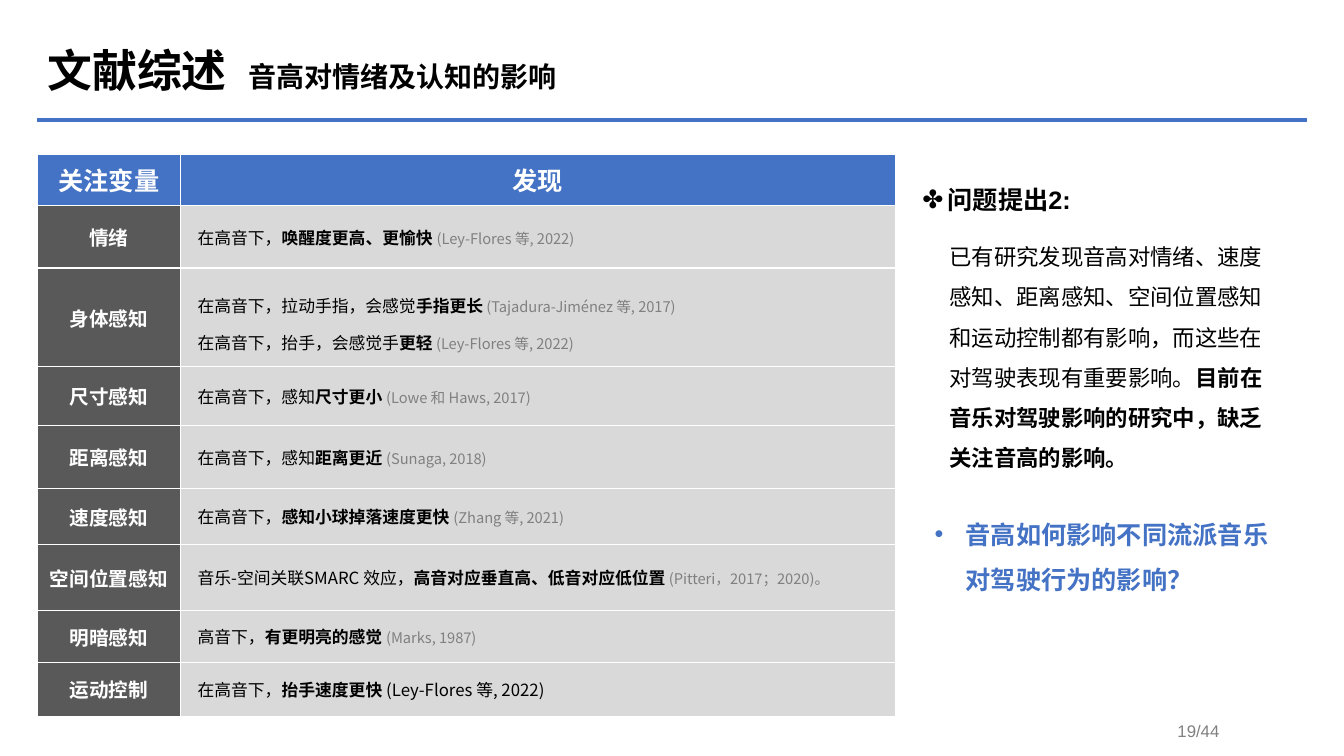
"""Build the literature review slide on pitch, emotion and cognition."""
from dataclasses import dataclass
from typing import Optional

from lxml import etree
from pptx import Presentation
from pptx import util as u
from pptx.dml.color import RGBColor
from pptx.enum import shapes, text
from pptx.oxml.ns import qn

PX = 9144
BLUE = RGBColor(0x44, 0x72, 0xC4)
BLACK = RGBColor(0, 0, 0)
WHITE = RGBColor(0xFF, 0xFF, 0xFF)
GREY = RGBColor(0x80, 0x80, 0x80)
DARK = RGBColor(0x59, 0x59, 0x59)
LIGHT = RGBColor(0xD9, 0xD9, 0xD9)
SANS = "Noto Sans CJK SC"
ARIAL = "Arial"


@dataclass
class Span:
    words: str
    size: float
    color: RGBColor = BLACK
    bold: bool = False
    font: str = SANS


@dataclass
class Finding:
    lead: str
    key: str
    cite: str
    cite_size: float = 10.5
    cite_color: RGBColor = GREY


@dataclass
class Topic:
    name: str
    height: int
    findings: list[Finding]


@dataclass
class Note:
    left: int
    top: int
    width: int
    height: int
    spans: list[Span]
    spacing: float = 1.5
    bullet: Optional[str] = None
    indent: int = 0
    grow: bool = True


TOPICS = [
    Topic("情绪", 62, [Finding("在高音下，", "唤醒度更高、更愉快 ", "(Ley-Flores 等, 2022)")]),
    Topic("身体感知", 98, [
        Finding("在高音下，拉动手指，会感觉", "手指更长", " (Tajadura-Jiménez 等, 2017)"),
        Finding("在高音下，抬手，会感觉手", "更轻", " (Ley-Flores 等, 2022)"),
    ]),
    Topic("尺寸感知", 58, [Finding("在高音下，感知", "尺寸更小 ", "(Lowe 和 Haws, 2017)")]),
    Topic("距离感知", 63, [Finding("在高音下，感知", "距离更近 ", "(Sunaga, 2018)")]),
    Topic("速度感知", 55, [Finding("在高音下，", "感知小球掉落速度更快 ", "(Zhang 等, 2021)")]),
    Topic("空间位置感知", 66, [Finding("音乐-空间关联SMARC 效应，", "高音对应垂直高、低音对应低位置",
                                 " (Pitteri，2017；2020)。")]),
    Topic("明暗感知", 51, [Finding("高音下，", "有更明亮的感觉 ", "(Marks, 1987)")]),
    Topic("运动控制", 54, [Finding("在高音下，", "抬手速度更快 ", "(Ley-Flores 等, 2022)", 12, BLACK)]),
]

NOTES = [
    Note(1158, 710, 124, 30, [Span("19/44", 12, GREY, font=ARIAL)], spacing=1.0),
    Note(905, 163, 375, 476, [Span("问题提出2:", 18, bold=True, font=ARIAL)],
         bullet="✤", indent=25, grow=False),
    Note(932, 223, 338, 248, [
        Span("已有研究发现音高对情绪、速度感知、距离感知、空间位置感知和运动控制都有影响，"
             "而这些在对驾驶表现有重要影响。", 16),
        Span("目前在音乐对驾驶影响的研究中，缺乏关注音高的影响。", 16, bold=True),
    ]),
    Note(917, 495, 369, 96, [Span("音高如何影响不同流派音乐对驾驶行为的影响？", 18, BLUE, True, ARIAL)],
         bullet="•", indent=31),
]


def add_spans(para, spans: list[Span]) -> None:
    """Append formatted runs to a paragraph."""
    for span in spans:
        run = para.add_run()
        run.text = span.words
        run.font.size = u.Pt(span.size)
        run.font.bold = span.bold
        run.font.color.rgb = span.color
        run.font.name = span.font
        east = etree.SubElement(run.font._element, qn("a:ea"))
        east.set("typeface", SANS)


def add_title(page) -> None:
    """Place the title and its subtitle, parted by a tab stop."""
    title = page.shapes.title
    title.left, title.top, title.width, title.height = (n * PX for n in (37, 0, 1150, 145))
    frame = title.text_frame
    frame.auto_size = text.MSO_AUTO_SIZE.NONE
    frame.vertical_anchor = text.MSO_ANCHOR.MIDDLE
    para = frame.paragraphs[0]
    para.alignment = text.PP_ALIGN.LEFT
    para.line_spacing = 0.9
    stops = etree.SubElement(para._p.get_or_add_pPr(), qn("a:tabLst"))
    etree.SubElement(stops, qn("a:tab"), pos=str(199 * PX), algn="l")
    add_spans(para, [Span("文献综述\t", 32, bold=True), Span("音高对情绪及认知的影响", 20, bold=True)])


def add_rule(page) -> None:
    """Draw the line under the title."""
    rule = page.shapes.add_connector(
        shapes.MSO_CONNECTOR.STRAIGHT, 37 * PX, 119 * PX, 1296 * PX, 119 * PX)
    rule.line.color.rgb = BLUE
    rule.line.width = u.Pt(3)
    etree.SubElement(rule._element.spPr, qn("a:effectLst"))


def fill_cell(cell, color: RGBColor, lines: list[list[Span]], centred: bool) -> None:
    """Colour a table cell and write its lines."""
    cell.fill.solid()
    cell.fill.fore_color.rgb = color
    cell.vertical_anchor = text.MSO_ANCHOR.MIDDLE
    if not centred:
        cell.margin_left = 17 * PX
    for index, spans in enumerate(lines):
        para = cell.text_frame.add_paragraph() if index else cell.text_frame.paragraphs[0]
        para.alignment = text.PP_ALIGN.CENTER if centred else text.PP_ALIGN.LEFT
        if len(lines) > 1:
            para.line_spacing = 1.5
        add_spans(para, spans)


def add_findings_table(page) -> None:
    """Build the table of variables and findings."""
    widths = [142, 709]
    heights = [51] + [topic.height for topic in TOPICS]
    table = page.shapes.add_table(
        len(heights), len(widths), 37 * PX, 153 * PX, sum(widths) * PX, sum(heights) * PX).table
    for column, width in zip(table.columns, widths):
        column.width = width * PX
    for row, height in zip(table.rows, heights):
        row.height = height * PX
    for index, label in enumerate(["关注变量", "发现"]):
        fill_cell(table.cell(0, index), BLUE, [[Span(label, 18, WHITE, True)]], True)
    for index, topic in enumerate(TOPICS, 1):
        fill_cell(table.cell(index, 0), DARK, [[Span(topic.name, 14, WHITE, True)]], True)
        lines = [[Span(item.lead, 12), Span(item.key, 12, bold=True),
                  Span(item.cite, item.cite_size, item.cite_color)] for item in topic.findings]
        fill_cell(table.cell(index, 1), LIGHT, lines, False)


def add_note(page, note: Note) -> None:
    """Add a text box, bulleted when the note has a bullet."""
    box = page.shapes.add_textbox(
        note.left * PX, note.top * PX, note.width * PX, note.height * PX)
    frame = box.text_frame
    frame.word_wrap = True
    frame.auto_size = (text.MSO_AUTO_SIZE.SHAPE_TO_FIT_TEXT if note.grow
                       else text.MSO_AUTO_SIZE.NONE)
    para = frame.paragraphs[0]
    para.line_spacing = note.spacing
    if note.bullet:
        props = para._p.get_or_add_pPr()
        props.set("marL", str(note.indent * PX))
        props.set("indent", str(-note.indent * PX))
        etree.SubElement(props, qn("a:buFont"), typeface=ARIAL)
        etree.SubElement(props, qn("a:buChar"), char=note.bullet)
    add_spans(para, note.spans)


def main() -> None:
    """Assemble and save the deck."""
    deck = Presentation()
    deck.slide_width, deck.slide_height = 1333 * PX, 750 * PX
    page = deck.slides.add_slide(deck.slide_layouts[5])
    add_title(page)
    add_rule(page)
    add_findings_table(page)
    for note in NOTES:
        add_note(page, note)
    deck.save("out.pptx")


if __name__ == "__main__":
    main()
